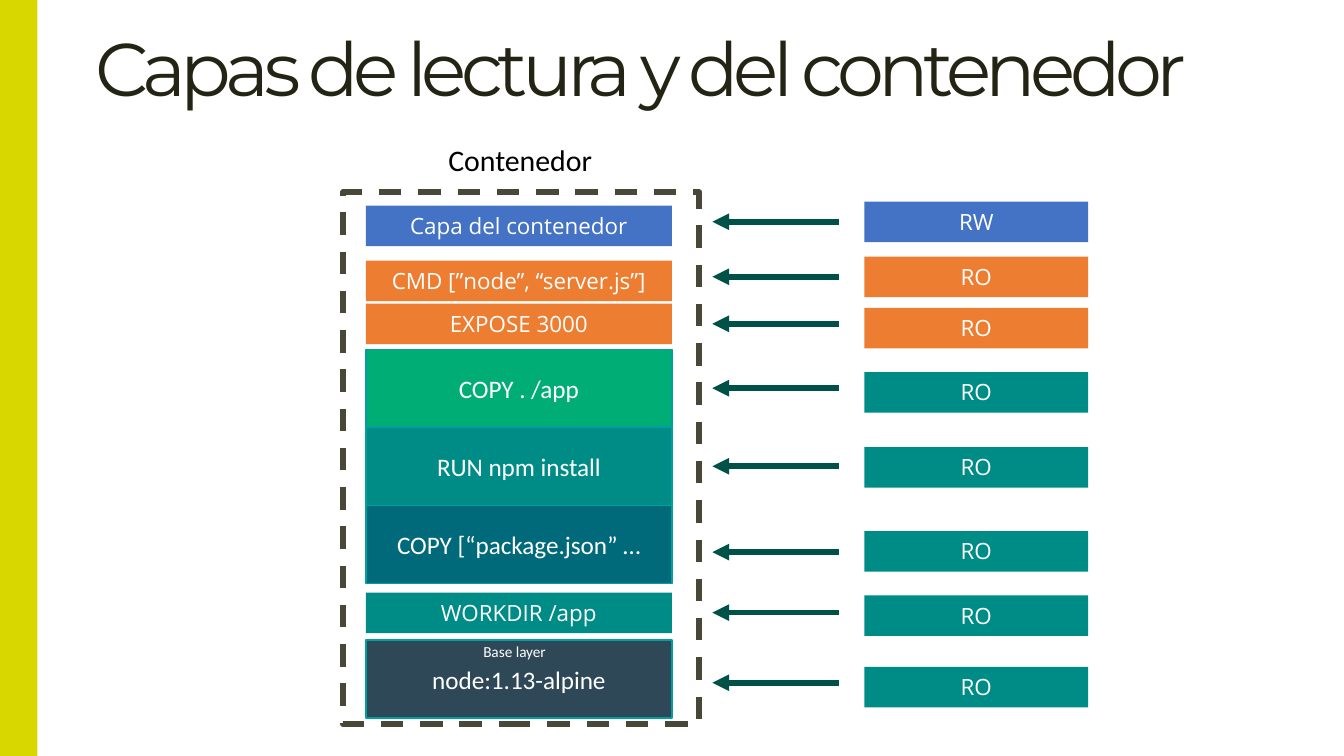
"""Builds a slide on the read-only and writable layers of a container."""
from lxml import etree
from pptx import Presentation
from pptx.dml.color import RGBColor
from pptx.enum.dml import MSO_LINE
from pptx.enum.shapes import MSO_CONNECTOR, MSO_SHAPE
from pptx.enum.text import MSO_ANCHOR, PP_ALIGN
from pptx.oxml.ns import qn
from pptx.util import Pt

RECT, STRAIGHT, DASH = MSO_SHAPE.RECTANGLE, MSO_CONNECTOR.STRAIGHT, MSO_LINE.DASH
TOP, MIDDLE, BOTTOM = MSO_ANCHOR.TOP, MSO_ANCHOR.MIDDLE, MSO_ANCHOR.BOTTOM
LEFT, CENTER = PP_ALIGN.LEFT, PP_ALIGN.CENTER
WHITE, BLUE, ORANGE, TEAL = "FFFFFF", "4472C4", "ED7D31", "008C86"
EDGE, ARROW = "00A0A1", "005248"

TITLE = "Capas de lectura y del contenedor"
# text, top, fill, tall, access, access top, access fill, arrow height
LAYERS = [
    ("Capa del contenedor", 110.2, BLUE, False, "RW", 108, BLUE, 118.8),
    ("CMD [”node”, “server.js”]", 139.7, ORANGE, False, "RO", 137.5, ORANGE, 148.3),
    ("EXPOSE 3000", 162.7, ORANGE, False, "RO", 165, ORANGE, 173.5),
    ("COPY . /app", 187.2, "00AD74", True, "RO", 199.4, TEAL, 208),
    ("RUN npm install", 229, TEAL, True, "RO", 239.6, TEAL, 249.8),
    ("COPY [“package.json” …", 270.8, "006A7B", True, "RO", 284.6, TEAL, 295.8),
    ("WORKDIR /app", 317.5, TEAL, False, "RO", 319, TEAL, 328.2),
    ("node:1.13-alpine", 343, "2F4858", True, "RO", 357.3, TEAL, 365.8),
]
LAYER_X, LAYER_W, TALL_H, SHORT_H = 196, 164, 41.8, 21.7
ACCESS_X, ACCESS_W = 463, 120
ARROW_FROM, ARROW_TO = 449.3, 381.6


def rgb(value):
    return RGBColor.from_string(value)


def write(sp, text, size, font, color=WHITE, anchor=MIDDLE, align=CENTER):
    tf = sp.text_frame
    tf.word_wrap = True
    tf.vertical_anchor = anchor
    tf.margin_top = tf.margin_bottom = Pt(3.4)
    p = tf.paragraphs[0]
    p.text = text
    p.alignment = align
    p.font.size = Pt(size)
    p.font.name = font
    p.font.color.rgb = rgb(color)
    return p


def box(s, x, y, w, h, fill=None, line=None, width=1):
    sp = s.shapes.add_shape(RECT, Pt(x), Pt(y), Pt(w), Pt(h))
    sp.shadow.inherit = False
    if fill:
        sp.fill.solid()
        sp.fill.fore_color.rgb = rgb(fill)
    else:
        sp.fill.background()
    if line:
        sp.line.color.rgb = rgb(line)
        sp.line.width = Pt(width)
    else:
        sp.line.fill.background()
    return sp


def short_box(s, x, y, w, fill, text):
    write(box(s, x, y, w, SHORT_H, fill), text, 12, "Open Sans", anchor=TOP)


def arrow(s, y):
    sp = s.shapes.add_connector(STRAIGHT, Pt(ARROW_FROM), Pt(y), Pt(ARROW_TO), Pt(y))
    sp.line.color.rgb = rgb(ARROW)
    sp.line.width = Pt(3)
    etree.SubElement(sp.line._get_or_add_ln(), qn("a:tailEnd"), type="triangle")
    etree.SubElement(sp._element.spPr, qn("a:effectLst"))


def add_title(s):
    sp = s.shapes.add_textbox(Pt(51), Pt(0), Pt(649.5), Pt(64))
    p = write(sp, TITLE, 40, "Montserrat", "242415", BOTTOM, LEFT)
    sp.text_frame.margin_left = 0
    sp.text_frame.margin_right = Pt(5)
    p.line_spacing = 0.9
    p.runs[0].font._element.set("spc", "-300")


def main():
    prs = Presentation()
    prs.slide_width, prs.slide_height = Pt(720), Pt(405)
    s = prs.slides.add_slide(prs.slide_layouts[6])
    add_title(s)
    box(s, 0, 0, 20, 405, "D8D800")
    box(s, 183.8, 103, 190.8, 285, line="494738", width=3).line.dash_style = DASH
    for text, y, fill, tall, access, access_y, access_fill, arrow_y in LAYERS:
        if tall:
            sp = box(s, LAYER_X, y, LAYER_W, TALL_H, fill, EDGE)
            write(sp, text, 13.5, "Calibri")
        else:
            short_box(s, LAYER_X, y, LAYER_W, fill, text)
        short_box(s, ACCESS_X, access_y, ACCESS_W, access_fill, access)
        arrow(s, arrow_y)
    base = s.shapes.add_textbox(Pt(229.7), Pt(340.6), Pt(92), Pt(17))
    write(base, "Base layer", 8.2, "Calibri", anchor=TOP)
    heading = box(s, 230.2, 75.8, 97, 19.5, WHITE, WHITE, 0.25)
    write(heading, "Contenedor", 16, "Calibri", "000000")
    prs.save("out.pptx")


if __name__ == "__main__":
    main()
